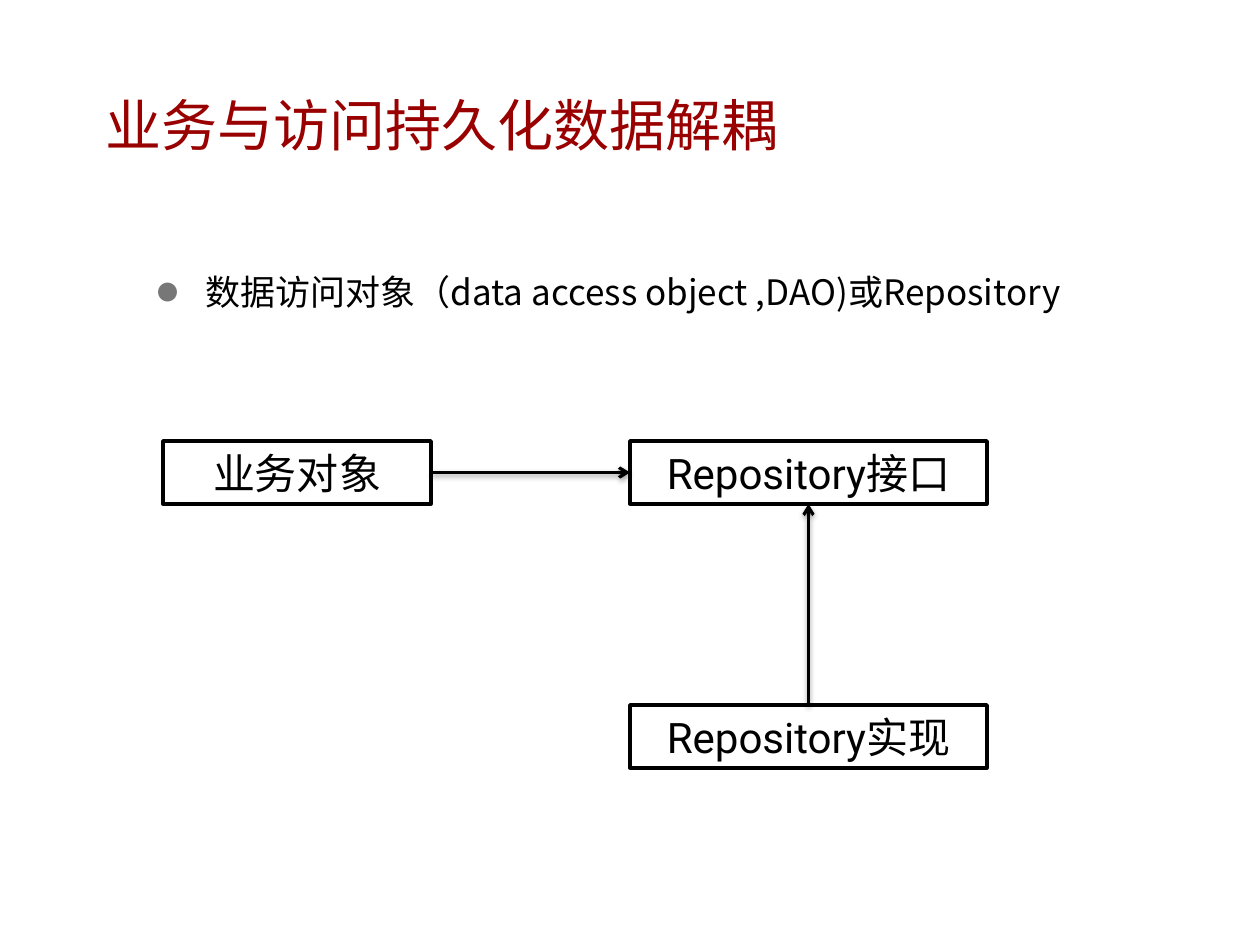
from dataclasses import dataclass

from lxml.etree import SubElement
from pptx import Presentation
from pptx.dml.color import RGBColor
from pptx.enum.shapes import MSO_CONNECTOR as Connector, MSO_SHAPE as Shape
from pptx.enum.text import MSO_ANCHOR as Anchor, MSO_AUTO_SIZE as AutoSize, PP_ALIGN as Align
from pptx.oxml.ns import qn
from pptx.util import Pt

EMU_PER_PX = 914400 / 126
TOP, LEFT, BOTTOM, RIGHT = 0, 1, 2, 3  # connection sites of a rectangle


@dataclass(frozen=True)
class Theme:
    title: str = "990000"
    ink: str = "000000"
    paper: str = "FFFFFF"
    bullet: str = "777777"
    font: str = "Noto Sans CJK SC"
    box_font: str = "Roboto"
    title_size: int = 32
    body_size: int = 20
    box_size: int = 24
    box_line: float = 2
    arrow_line: float = 1.75


THEME = Theme()


def px(length):
    return round(length * EMU_PER_PX)


def color(value):
    return RGBColor.from_string(value)


def place(shape, box):
    shape.left, shape.top, shape.width, shape.height = map(px, box)


def write(shape, text, *, size, font=THEME.font, ink=THEME.ink, align=Align.LEFT,
          anchor=Anchor.MIDDLE, inset=(0, 0), spacing=1.0):
    """Fill the shape with one paragraph; inset is horizontal, vertical in px."""
    frame = shape.text_frame
    frame.word_wrap = True
    frame.auto_size = AutoSize.NONE
    frame.vertical_anchor = anchor
    frame.margin_left = frame.margin_right = px(inset[0])
    frame.margin_top = frame.margin_bottom = px(inset[1])
    paragraph = frame.paragraphs[0]
    paragraph.alignment = align
    paragraph.line_spacing = spacing
    paragraph.space_before = Pt(0)
    run = paragraph.add_run()
    run.text = text
    run.font.size = Pt(size)
    run.font.name = font
    run.font.color.rgb = color(ink)
    SubElement(run.font._element, qn("a:ea"), typeface=THEME.font)
    return paragraph


def add_bullet(paragraph, indent):
    properties = paragraph._p.get_or_add_pPr()
    properties.set("marL", str(px(indent)))
    properties.set("indent", str(-px(indent)))
    bullet_color = SubElement(properties, qn("a:buClr"))
    SubElement(bullet_color, qn("a:srgbClr"), val=THEME.bullet)
    SubElement(properties, qn("a:buSzPct"), val="60000")
    SubElement(properties, qn("a:buFont"), typeface=THEME.font)
    SubElement(properties, qn("a:buChar"), char="●")


def fill_title(slide, box):
    title = slide.shapes.title
    place(title, box)
    write(title, "业务与访问持久化数据解耦", size=THEME.title_size, ink=THEME.title)


def fill_body(slide, box):
    body = slide.placeholders[1]
    place(body, box)
    paragraph = write(body, "数据访问对象（data access object ,DAO)或Repository",
                      size=THEME.body_size, anchor=Anchor.TOP, inset=(13, 6), spacing=1.4)
    add_bullet(paragraph, 48)


def add_box(slide, text, box):
    shape = slide.shapes.add_shape(Shape.RECTANGLE, *map(px, box))
    shape.shadow.inherit = False
    shape.fill.solid()
    shape.fill.fore_color.rgb = color(THEME.paper)
    shape.line.color.rgb = color(THEME.ink)
    shape.line.width = Pt(THEME.box_line)
    write(shape, text, size=THEME.box_size, font=THEME.box_font,
          align=Align.CENTER, inset=(6, 6))
    return shape


def add_arrow(slide, start, start_site, end, end_site):
    arrow = slide.shapes.add_connector(Connector.STRAIGHT, 0, 0, 0, 0)
    arrow.begin_connect(start, start_site)
    arrow.end_connect(end, end_site)
    arrow.line.color.rgb = color(THEME.ink)
    arrow.line.width = Pt(THEME.arrow_line)
    SubElement(arrow.line._get_or_add_ln(), qn("a:tailEnd"), type="arrow")
    effects = SubElement(arrow._element.spPr, qn("a:effectLst"))
    shadow = SubElement(effects, qn("a:outerShdw"), blurRad=str(Pt(3)),
                        dist=str(Pt(1.6)), dir="5400000", rotWithShape="0")
    shadow_color = SubElement(shadow, qn("a:srgbClr"), val=THEME.ink)
    SubElement(shadow_color, qn("a:alpha"), val="38000")


def add_diagram(slide, box):
    """Business object points to the interface, which its implementation points up to."""
    left, top, width, height = box
    box_height, business_width, repository_width = 63, 268, 357
    repository_left = left + width - repository_width
    business = add_box(slide, "业务对象", (left, top, business_width, box_height))
    interface = add_box(slide, "Repository接口",
                        (repository_left, top, repository_width, box_height))
    implementation = add_box(slide, "Repository实现",
                             (repository_left, top + height - box_height,
                              repository_width, box_height))
    add_arrow(slide, business, RIGHT, interface, LEFT)
    add_arrow(slide, implementation, TOP, interface, BOTTOM)


def main():
    presentation = Presentation()
    presentation.slide_width, presentation.slide_height = px(1260), px(945)
    slide = presentation.slides.add_slide(presentation.slide_layouts[1])
    fill_title(slide, (105, 64, 1052, 120))
    fill_body(slide, (144, 248, 992, 113))
    add_diagram(slide, (163, 441, 824, 327))
    presentation.save("out.pptx")


if __name__ == "__main__":
    main()
